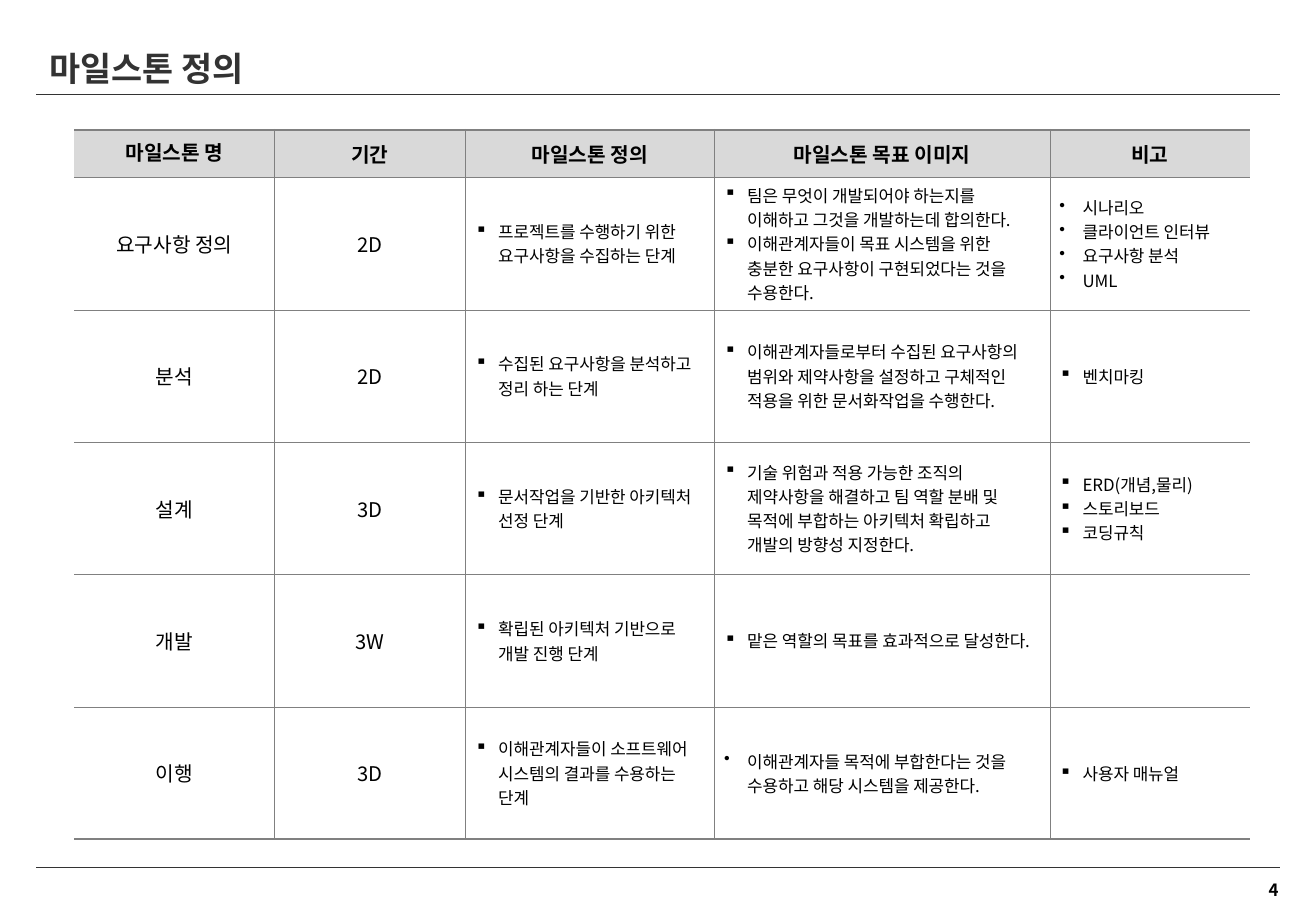
from lxml import etree
from pptx import Presentation
from pptx.dml.color import RGBColor
from pptx.enum.shapes import MSO_CONNECTOR
from pptx.enum.text import MSO_ANCHOR, PP_ALIGN
from pptx.oxml.ns import qn
from pptx.util import Inches, Pt

STRAIGHT = MSO_CONNECTOR.STRAIGHT
MIDDLE = MSO_ANCHOR.MIDDLE
LEFT, CENTER, RIGHT = PP_ALIGN.LEFT, PP_ALIGN.CENTER, PP_ALIGN.RIGHT
FONT = "Noto Sans CJK KR"
COLORS = {"title": "333333", "text": "000000", "border": "808080", "header": "D9D9D9"}
SQUARE, DOT = "▪", "•"
THIN, THICK = 0.25, 1.5
COLUMN_WIDTHS = [1.65, 1.57, 2.05, 2.76, 1.65]
HEADER_HEIGHT, ROW_HEIGHT = 0.39, 1.09
HEADERS = ["마일스톤 명", "기간", "마일스톤 정의", "마일스톤 목표 이미지", "비고"]
MILESTONES = [
    ("요구사항 정의", "2D",
     (SQUARE, ["프로젝트를 수행하기 위한 요구사항을 수집하는 단계"]),
     (SQUARE, ["팀은 무엇이 개발되어야 하는지를 이해하고 그것을 개발하는데 합의한다.",
               "이해관계자들이 목표 시스템을 위한 충분한 요구사항이 구현되었다는 것을 수용한다."]),
     (DOT, ["시나리오", "클라이언트 인터뷰", "요구사항 분석", "UML"])),
    ("분석", "2D",
     (SQUARE, ["수집된 요구사항을 분석하고 정리 하는 단계"]),
     (SQUARE, ["이해관계자들로부터 수집된 요구사항의 범위와 제약사항을 설정하고 "
               "구체적인 적용을 위한 문서화작업을 수행한다."]),
     (SQUARE, ["벤치마킹"])),
    ("설계", "3D",
     (SQUARE, ["문서작업을 기반한 아키텍처 선정 단계"]),
     (SQUARE, ["기술 위험과 적용 가능한 조직의 제약사항을 해결하고 팀 역할 분배 및 "
               "목적에 부합하는 아키텍처 확립하고 개발의 방향성 지정한다."]),
     (SQUARE, ["ERD(개념,물리)", "스토리보드", "코딩규칙"])),
    ("개발", "3W",
     (SQUARE, ["확립된 아키텍처 기반으로 개발 진행 단계"]),
     (SQUARE, ["맡은 역할의 목표를 효과적으로 달성한다."]),
     (SQUARE, [])),
    ("이행", "3D",
     (SQUARE, ["이해관계자들이 소프트웨어 시스템의 결과를 수용하는 단계"]),
     (DOT, ["이해관계자들 목적에 부합한다는 것을 수용하고 해당 시스템을 제공한다."]),
     (SQUARE, ["사용자 매뉴얼"])),
]


def style_paragraph(paragraph, size, color="text", bold=False, alignment=LEFT):
    paragraph.alignment = alignment
    font = paragraph.font
    font.size = Pt(size)
    font.bold = bold
    font.color.rgb = RGBColor.from_string(COLORS[color])
    font.name = FONT
    properties = paragraph._p.pPr.find(qn("a:defRPr"))
    etree.SubElement(properties, qn("a:ea")).set("typeface", FONT)


def add_bullet(paragraph, character):
    properties = paragraph._p.get_or_add_pPr()
    properties.set("marL", str(Inches(0.19)))
    properties.set("indent", str(-Inches(0.19)))
    etree.SubElement(properties, qn("a:buChar")).set("char", character)


def add_text(slide, text, left, top, width, height, wrap, **style):
    shape = slide.shapes.add_textbox(Inches(left), Inches(top), Inches(width), Inches(height))
    frame = shape.text_frame
    frame.word_wrap = wrap
    frame.vertical_anchor = MIDDLE
    frame.text = text
    style_paragraph(frame.paragraphs[0], **style)


def add_rule(slide, top):
    line = slide.shapes.add_connector(STRAIGHT, Inches(0.3), Inches(top), Inches(10.53), Inches(top))
    line.line.color.rgb = RGBColor.from_string(COLORS["title"])
    line.line.width = Pt(0.5)
    etree.SubElement(line._element.spPr, qn("a:effectLst"))


def set_borders(cell, widths):
    properties = cell._tc.get_or_add_tcPr()
    for side, width in zip(("lnL", "lnR", "lnT", "lnB"), widths):
        border = etree.SubElement(properties, qn(f"a:{side}"))
        if width:
            border.set("w", str(Pt(width)))
            fill = etree.SubElement(border, qn("a:solidFill"))
            etree.SubElement(fill, qn("a:srgbClr")).set("val", COLORS["border"])
        else:
            etree.SubElement(border, qn("a:noFill"))


def fill_cell(cell, content, is_header):
    cell.vertical_anchor = MIDDLE
    cell.margin_left = cell.margin_right = Inches(0.08)
    cell.margin_top = cell.margin_bottom = 0
    if is_header:
        cell.fill.solid()
        cell.fill.fore_color.rgb = RGBColor.from_string(COLORS["header"])
    else:
        cell.fill.background()
    frame = cell.text_frame
    if isinstance(content, str):
        frame.text = content
        style_paragraph(frame.paragraphs[0], 12, bold=is_header, alignment=CENTER)
        return
    character, items = content
    frame.text = "\n".join(items)
    for paragraph in frame.paragraphs:
        if items:
            add_bullet(paragraph, character)
        style_paragraph(paragraph, 10)


def add_milestone_table(slide):
    rows = [HEADERS, *MILESTONES]
    height = HEADER_HEIGHT + ROW_HEIGHT * len(MILESTONES)
    table = slide.shapes.add_table(
        len(rows), len(HEADERS), Inches(0.61), Inches(1.07),
        Inches(sum(COLUMN_WIDTHS)), Inches(height)).table
    table.horz_banding = False
    for column, width in zip(table.columns, COLUMN_WIDTHS):
        column.width = Inches(width)
    last_row, last_column = len(rows) - 1, len(HEADERS) - 1
    for row_index, row in enumerate(rows):
        table.rows[row_index].height = Inches(ROW_HEIGHT if row_index else HEADER_HEIGHT)
        for column_index, content in enumerate(row):
            cell = table.cell(row_index, column_index)
            set_borders(cell, (
                THIN if column_index else 0,
                THIN if column_index < last_column else 0,
                THIN if row_index else THICK,
                THIN if row_index < last_row else THICK))
            fill_cell(cell, content, row_index == 0)
    table.cell(0, 0).text_frame.paragraphs[0].line_spacing = 0.8


def main():
    presentation = Presentation()
    presentation.slide_width = Inches(10.83)
    presentation.slide_height = Inches(7.5)
    slide = presentation.slides.add_slide(presentation.slide_layouts[6])
    add_rule(slide, 7.14)
    add_text(slide, "4", 10.23, 7.19, 0.39, 0.27, False, size=10, bold=True, alignment=RIGHT)
    add_rule(slide, 0.78)
    add_text(slide, "마일스톤 정의", 0.31, 0.41, 6.67, 0.3, True, size=20, color="title", bold=True)
    add_milestone_table(slide)
    presentation.save("out.pptx")


if __name__ == "__main__":
    main()
